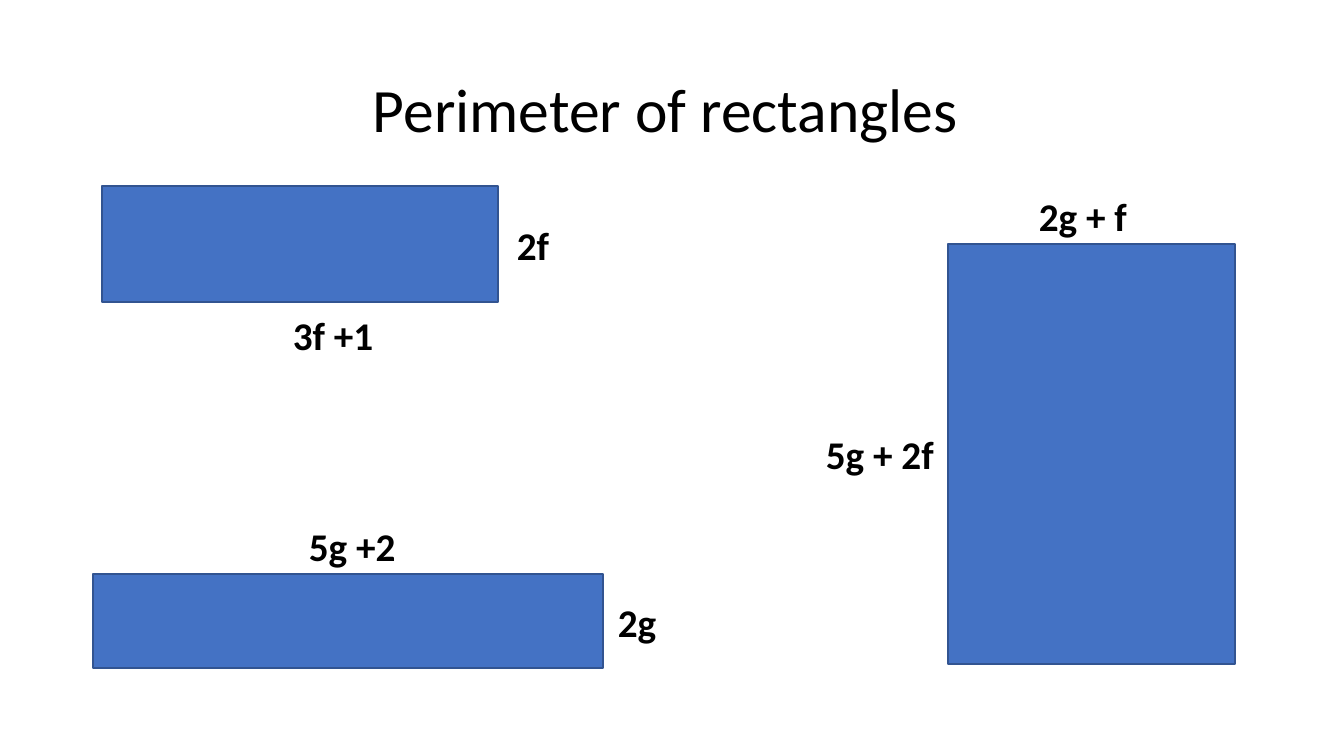
"""Build a slide of three rectangles with algebraic side lengths."""
import pptx
import pptx.dml.color
import pptx.enum.shapes
import pptx.enum.text
import pptx.util

SLIDE_SIZE = (1344, 756)
EMU_PER_PX = 914400 / 100.8
FONT = "Calibri"
COLORS = {"fill": "4472C4", "outline": "325491", "text": "000000"}

TITLE = ("Perimeter of rectangles ", (93, 40, 1159, 146))
LABEL_HEIGHT = 57
RECTANGLES = [
    {"box": (102, 186, 396, 116),
     "sides": [("2f", 507, 216, 90), ("3f +1", 283, 306, 137)]},
    {"box": (948, 244, 287, 420),
     "sides": [("2g + f", 1029, 187, 125), ("5g + 2f", 816, 425, 132)]},
    {"box": (93, 574, 510, 94),
     "sides": [("5g +2", 299, 517, 137), ("2g", 608, 593, 90)]},
]


def px(length):
    return pptx.util.Emu(round(length * EMU_PER_PX))


def color(key):
    return pptx.dml.color.RGBColor.from_string(COLORS[key])


def add_text(slide, wording, box, size, bold=False):
    frame = slide.shapes.add_textbox(*map(px, box)).text_frame
    frame.word_wrap = True
    paragraph = frame.paragraphs[0]
    run = paragraph.add_run()
    run.text = wording
    run.font.name = FONT
    run.font.size = pptx.util.Pt(size)
    run.font.bold = bold
    run.font.color.rgb = color("text")
    return frame


def add_rectangle(slide, box):
    rectangle = slide.shapes.add_shape(
        pptx.enum.shapes.MSO_SHAPE.RECTANGLE, *map(px, box))
    rectangle.shadow.inherit = False
    rectangle.fill.solid()
    rectangle.fill.fore_color.rgb = color("fill")
    rectangle.line.color.rgb = color("outline")
    rectangle.line.width = pptx.util.Pt(1)


def main():
    deck = pptx.Presentation()
    deck.slide_width, deck.slide_height = map(px, SLIDE_SIZE)
    slide = deck.slides.add_slide(deck.slide_layouts[6])

    heading = add_text(slide, *TITLE, 44)
    heading.vertical_anchor = pptx.enum.text.MSO_ANCHOR.MIDDLE
    heading.paragraphs[0].alignment = pptx.enum.text.PP_ALIGN.CENTER
    heading.paragraphs[0].line_spacing = 0.9

    for rectangle in RECTANGLES:
        add_rectangle(slide, rectangle["box"])
        for length, left, top, width in rectangle["sides"]:
            add_text(slide, length, (left, top, width, LABEL_HEIGHT), 28, True)

    deck.save("out.pptx")


if __name__ == "__main__":
    main()
